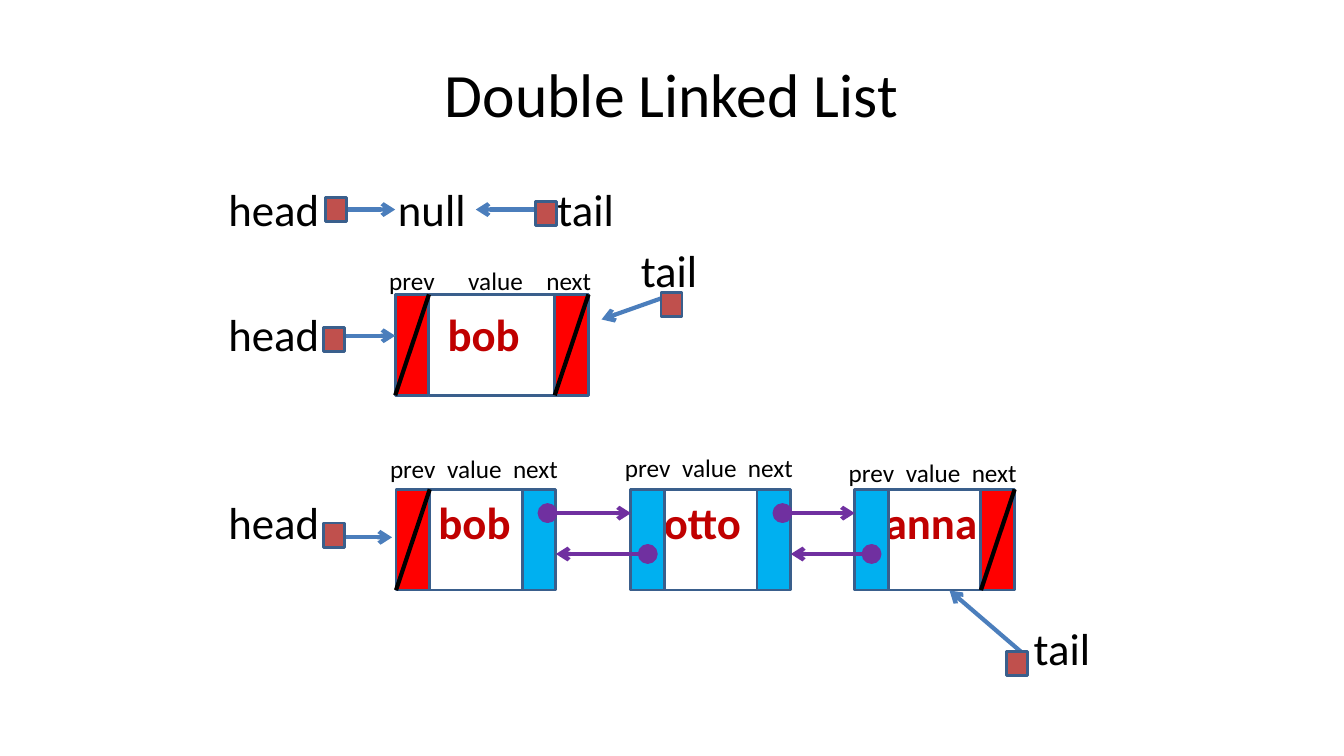
from lxml import etree
from pptx import Presentation
from pptx import util as u
from pptx.dml.color import RGBColor
from pptx.enum import shapes, text
from pptx.oxml.ns import qn

BLACK, OUTLINE, POINTER, LINK = "000000", "3A5F8C", "4B7EBC", "7030A0"
NULL_FILL, LINK_FILL, SQUARE_FILL, VALUE_TEXT = "FF0000", "00B0F0", "C0504D", "C00000"
SLOT, NODE_HEIGHT, DOT = 0.85, 2.54, 0.43


def rgb(color):
    return RGBColor.from_string(color)


def style_run(run, size, color=BLACK, bold=False):
    run.font.name, run.font.size, run.font.bold = "Calibri", u.Pt(size), bold
    run.font.color.rgb = rgb(color)


def place(shape, left, top, width, height):
    shape.left, shape.top = u.Cm(left), u.Cm(top)
    shape.width, shape.height = u.Cm(width), u.Cm(height)


def add_label(slide, left, top, width, height, words, size, color=BLACK, bold=False):
    box = slide.shapes.add_textbox(u.Cm(left), u.Cm(top), u.Cm(width), u.Cm(height))
    box.text_frame.word_wrap = True
    box.text_frame.text = words
    line = box.text_frame.paragraphs[0]
    style_run(line.runs[0], size, color, bold)
    return line


def add_block(slide, left, top, width, height, fill=None, line=OUTLINE,
              kind=shapes.MSO_SHAPE.RECTANGLE):
    block = slide.shapes.add_shape(kind, u.Cm(left), u.Cm(top), u.Cm(width), u.Cm(height))
    block.shadow.inherit = False
    block.line.color.rgb, block.line.width = rgb(line), u.Pt(2)
    if fill:
        block.fill.solid()
        block.fill.fore_color.rgb = rgb(fill)
    else:
        block.fill.background()


def add_line(slide, start, end, color, arrow=True):
    line = slide.shapes.add_connector(shapes.MSO_CONNECTOR.STRAIGHT,
                                      *(u.Cm(value) for value in (*start, *end)))
    line.line.color.rgb, line.line.width = rgb(color), u.Pt(3)
    if arrow:
        outline = line._element.spPr.find(qn("a:ln"))
        etree.SubElement(outline, qn("a:tailEnd"), type="arrow")
    etree.SubElement(line._element.spPr, qn("a:effectLst"))


def add_title(slide, left, top, width, height):
    title = slide.shapes.title
    place(title, left, top, width, height)
    title.text_frame.text = "Double Linked List"
    title.text_frame.vertical_anchor = text.MSO_ANCHOR.MIDDLE
    heading = title.text_frame.paragraphs[0]
    heading.alignment = text.PP_ALIGN.CENTER
    style_run(heading.runs[0], 44)


def add_heads(slide, left, top, width, height):
    """Write one "head" for each of the three lists."""
    body = slide.placeholders[1]
    place(body, left, top, width, height)
    frame = body.text_frame
    frame.auto_size = text.MSO_AUTO_SIZE.NONE
    frame.text = "\n".join(["head"] * 3)
    for head, gap in zip(frame.paragraphs, (0, 51, 96)):
        style_run(head.runs[0], 32)
        head.space_before = u.Pt(gap)
        properties = head._p.get_or_add_pPr()
        properties.set("marL", "0")
        properties.set("indent", "0")
        etree.SubElement(properties, qn("a:buNone"))


def add_targets(slide):
    targets = [("null", 9.78, 4.45), ("tail", 13.8, 4.45),
               ("tail", 15.9, 5.98), ("tail", 25.8, 15.51)]
    for word, left, top in targets:
        add_label(slide, left, top, 2.5, 1.63, word, 32)


def add_field_names(slide, left, top, stops):
    """Write the field names, with tab stops in cm from the first one."""
    fields = add_label(slide, left, top, 5.64, 1.02, "prev\tvalue\tnext", 18)
    tabs = etree.SubElement(fields._p.get_or_add_pPr(), qn("a:tabLst"))
    for stop in stops:
        etree.SubElement(tabs, qn("a:tab"), pos=str(u.Cm(stop)), algn="l")


def add_slot(slide, left, top, linked):
    add_block(slide, left, top, SLOT, NODE_HEIGHT, LINK_FILL if linked else NULL_FILL)
    if not linked:
        add_line(slide, (left + SLOT, top), (left, top + NODE_HEIGHT), BLACK, arrow=False)


def add_node(slide, left, top, width, value, value_offset, label_rise, stops,
             has_prev=False, has_next=False):
    value_x, value_y = value_offset
    add_label(slide, left + value_x, top + value_y, 3.2, 1.63, value, 32, VALUE_TEXT, True)
    add_block(slide, left + SLOT, top, width - 2 * SLOT, NODE_HEIGHT)
    add_slot(slide, left, top, has_prev)
    add_slot(slide, left + width - SLOT, top, has_next)
    add_field_names(slide, left - 0.4, top - label_rise, stops)


def add_link(slide, start, end_x, dot_left):
    x, y = start
    add_line(slide, start, (end_x, y), LINK)
    add_block(slide, dot_left, y - DOT / 2, DOT, DOT, LINK, LINK, shapes.MSO_SHAPE.OVAL)


def add_chain(slide, left, top):
    """Draw the three linked nodes."""
    width = 4.03
    # value, node offset, value offset, rise of the field names
    nodes = [("bob", 0, 0.82, 1.02), ("otto", 5.92, 0.58, 1.06), ("anna", 11.56, 0.51, 0.94)]
    last = len(nodes) - 1
    for index, (value, offset, value_x, rise) in enumerate(nodes):
        add_node(slide, left + offset, top, width, value, (value_x, 0), rise, (1.44, 3.1),
                 index > 0, index < last)
    lefts = [left + node[1] for node in nodes]
    for near, far in zip(lefts, lefts[1:]):
        next_x = near + width - SLOT / 2
        prev_x = far + SLOT / 2
        add_link(slide, (next_x, top + 0.6), far, next_x)
        add_link(slide, (prev_x, top + 1.63), near + width, prev_x - DOT / 2)


def add_pointer(slide, left, top, start, tip):
    """Draw a pointer square; start and tip are offsets from its corner."""
    add_line(slide, *((left + x, top + y) for x, y in (start, tip)), POINTER)
    add_block(slide, left, top, 0.53, 0.61, SQUARE_FILL)


def add_pointers(slide):
    pointers = [
        (8.2, 4.98, (0.05, 0.3), (1.76, 0.3)),
        (13.49, 5.08, (0.51, 0.2), (-1.5, 0.2)),
        (8.15, 8.25, (0.1, 0.21), (1.81, 0.21)),
        (16.66, 7.37, (0.28, 0.05), (-1.5, 0.68)),
        (8.15, 13.18, (0.05, 0.36), (1.73, 0.36)),
        (25.37, 16.41, (0.46, 0.1), (-1.44, -1.53)),
    ]
    for pointer in pointers:
        add_pointer(slide, *pointer)


def main():
    deck = Presentation()
    deck.slide_width, deck.slide_height = u.Cm(33.87), u.Cm(19.05)
    slide = deck.slides.add_slide(deck.slide_layouts[1])
    add_title(slide, 1.69, 0.76, 30.48, 3.18)
    add_heads(slide, 5.5, 4.45, 24.13, 13.97)
    add_targets(slide)
    add_node(slide, 9.96, 7.42, 4.87, "bob", (1.07, 0.18), 0.86, (1.99, 3.96))
    add_chain(slide, 9.98, 12.33)
    add_pointers(slide)
    deck.save("out.pptx")


if __name__ == "__main__":
    main()
